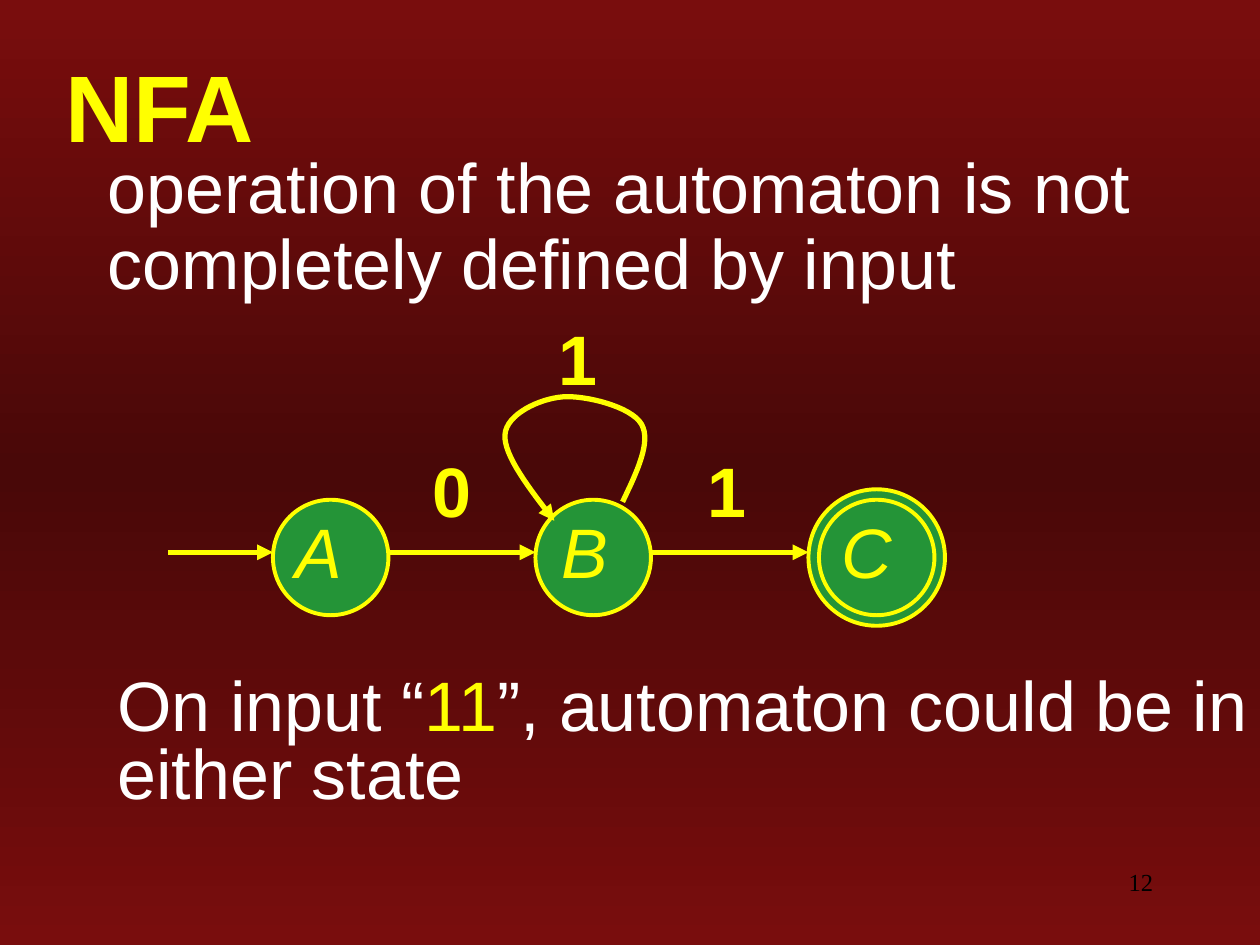
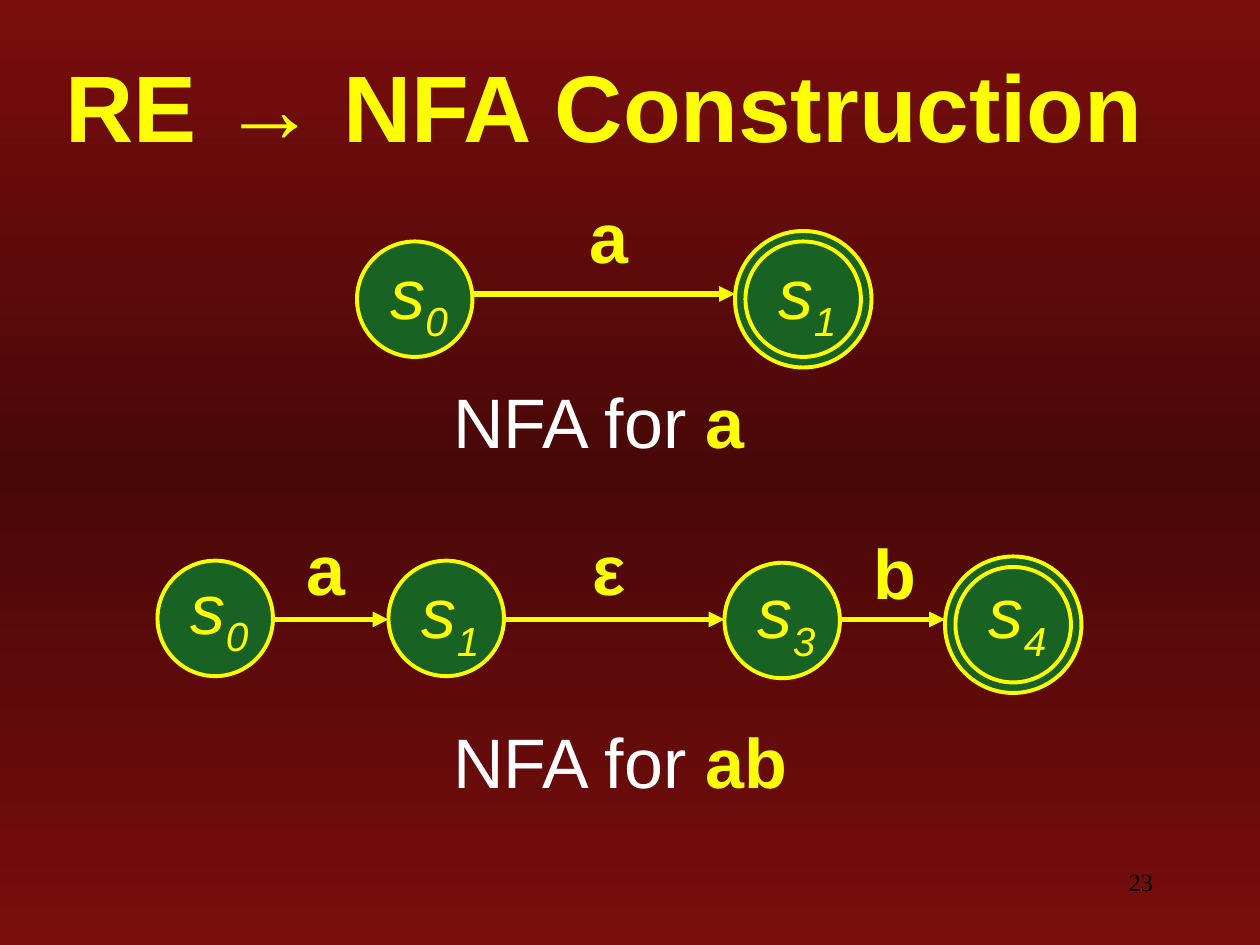
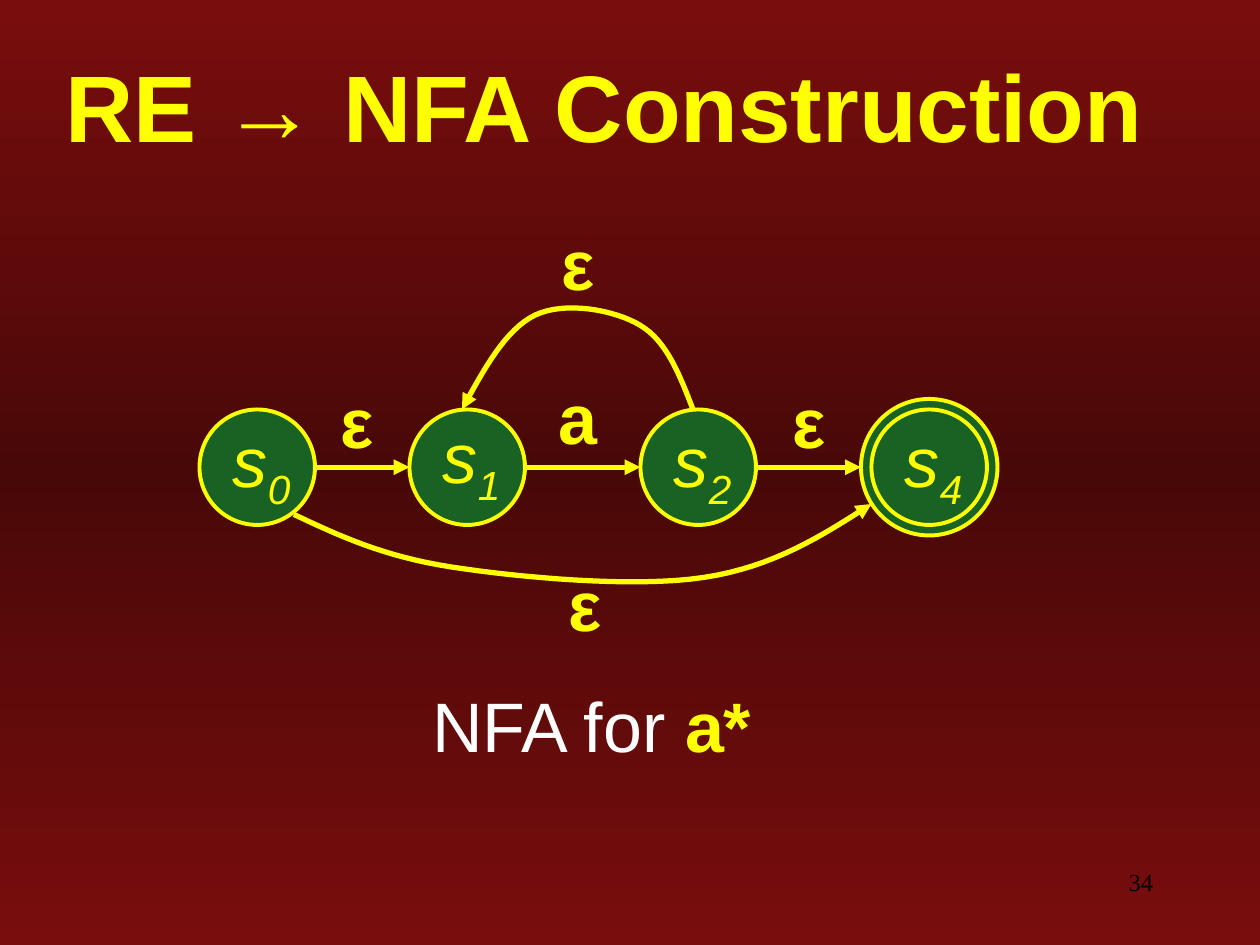
import copy
from dataclasses import dataclass
from typing import NamedTuple

import lxml.etree
import pptx
import pptx.dml.color
import pptx.enum.dml
import pptx.enum.shapes
import pptx.enum.text
import pptx.oxml.ns
import pptx.util

WIDTH, HEIGHT = pptx.util.Inches(10), pptx.util.Inches(7.5)
COLUMNS, ROWS = 120, 90
STATE_SIZE, RING_GAP = 11, 1
TITLE_ONLY = 5
ALIGN = pptx.enum.text.PP_ALIGN
qn = pptx.oxml.ns.qn


@dataclass(frozen=True)
class Theme:
    edge: str = "790D0D"
    middle: str = "490808"
    accent: str = "FFFF00"
    body: str = "FFFFFF"
    number: str = "000000"
    bright_state: str = "249437"
    dark_state: str = "186224"
    font: str = "Arial"
    number_font: str = "Times New Roman"
    title_size: int = 54
    text_size: int = 40
    number_size: int = 14
    outline: float = 2.25
    arrow: float = 3


THEME = Theme()


class Run(NamedTuple):
    text: str
    color: str = THEME.accent
    bold: bool = False
    italic: bool = False
    subscript: bool = False


class Box(NamedTuple):
    """A place on the grid, in columns and rows."""
    col: float
    row: float
    cols: float = 8.75
    rows: float = 7.7


class Point(NamedTuple):
    col: float
    row: float


class State(NamedTuple):
    """A circle at a grid place; label_shift moves its name from the corner."""
    name: str
    col: float
    row: float
    label_shift: tuple[float, float] = (2, 1)
    index: str = ""
    final: bool = False


class Symbol(NamedTuple):
    text: str
    col: float
    row: float


@dataclass(frozen=True)
class Automaton:
    states: list[State]
    symbols: list[Symbol]
    arrow_row: float
    fill: str = THEME.dark_state
    start_col: float | None = None
    curves: tuple[list[Point], ...] = ()


def x(cols: float) -> int:
    return round(WIDTH * cols / COLUMNS)


def y(rows: float) -> int:
    return round(HEIGHT * rows / ROWS)


def place(box: Box) -> tuple[int, int, int, int]:
    return x(box.col), y(box.row), x(box.cols), y(box.rows)


def rgb(color: str):
    return pptx.dml.color.RGBColor.from_string(color)


def write(frame, runs: list[Run], *, size: float = THEME.text_size, font: str = THEME.font,
          align=ALIGN.LEFT, spacing: float = 0.8) -> None:
    frame.word_wrap = True
    paragraph = frame.paragraphs[0]
    paragraph.alignment = align
    paragraph.line_spacing = spacing
    for part in runs:
        run = paragraph.add_run()
        run.text = part.text
        run.font.size = pptx.util.Pt(size)
        run.font.name = font
        run.font.bold = part.bold
        run.font.italic = part.italic
        run.font.color.rgb = rgb(part.color)
        if part.subscript:
            run._r.get_or_add_rPr().set("baseline", "-25000")


def add_text(slide, box: Box, runs: list[Run], **text_format) -> None:
    frame = slide.shapes.add_textbox(*place(box)).text_frame
    write(frame, runs, **text_format)


def add_title_shadow(run) -> None:
    fill = run._r.get_or_add_rPr().find(qn("a:solidFill"))
    effects = lxml.etree.Element(qn("a:effectLst"))
    shadow = lxml.etree.SubElement(effects, qn("a:outerShdw"), dist="35921", dir="2700000")
    lxml.etree.SubElement(shadow, qn("a:srgbClr"), val="000000")
    fill.addnext(effects)


def add_circle(slide, col: float, row: float, size: float, fill: str) -> None:
    circle = slide.shapes.add_shape(pptx.enum.shapes.MSO_SHAPE.OVAL,
                                    *place(Box(col, row, size, size)))
    circle.shadow.inherit = False
    circle.fill.solid()
    circle.fill.fore_color.rgb = rgb(fill)
    circle.line.color.rgb = rgb(THEME.accent)
    circle.line.width = pptx.util.Pt(THEME.outline)


def add_state(slide, state: State, fill: str) -> None:
    if state.final:
        add_circle(slide, state.col - RING_GAP, state.row - RING_GAP,
                   STATE_SIZE + 2 * RING_GAP, fill)
    add_circle(slide, state.col, state.row, STATE_SIZE, fill)
    runs = [Run(state.name, italic=True)]
    if state.index:
        runs.append(Run(state.index, italic=True, subscript=True))
    shift_col, shift_row = state.label_shift
    add_text(slide, Box(state.col + shift_col, state.row + shift_row, 12 if state.index else 8.75),
             runs)


def style_arrow(arrow) -> None:
    arrow.line.color.rgb = rgb(THEME.accent)
    arrow.line.width = pptx.util.Pt(THEME.arrow)
    line = arrow.element.spPr.find(qn("a:ln"))
    lxml.etree.SubElement(line, qn("a:tailEnd"), type="triangle")
    lxml.etree.SubElement(arrow.element.spPr, qn("a:effectLst"))


def add_arrow(slide, start_col: float, end_col: float, row: float) -> None:
    style_arrow(slide.shapes.add_connector(
        pptx.enum.shapes.MSO_CONNECTOR.STRAIGHT, x(start_col), y(row), x(end_col), y(row)))


def mix(a: Point, b: Point, share: float) -> Point:
    return Point(a.col + (b.col - a.col) * share, a.row + (b.row - a.row) * share)


def spline(knots: list[Point], steps: int = 16) -> list[Point]:
    """Points of a smooth curve through the knots, with relaxed ends."""
    def handle(i: int, side: int) -> Point:
        before, knot, after = knots[i - 1:i + 2]
        return Point(knot.col + side * (after.col - before.col) / 6,
                     knot.row + side * (after.row - before.row) / 6)

    points = [knots[0]]
    last = len(knots) - 1
    for i in range(last):
        leave = handle(i, 1) if i > 0 else None
        arrive = handle(i + 1, -1) if i + 1 < last else mix(knots[last], leave, 0.5)
        leave = leave or mix(knots[0], arrive, 0.5)
        for step in range(1, steps + 1):
            level = [knots[i], leave, arrive, knots[i + 1]]
            while len(level) > 1:
                level = [mix(a, b, step / steps) for a, b in zip(level, level[1:])]
            points.append(level[0])
    return points


def add_curve(slide, knots: list[Point]) -> None:
    start, *rest = [(x(point.col), y(point.row)) for point in spline(knots)]
    builder = slide.shapes.build_freeform(*start)
    builder.add_line_segments(rest, close=False)
    curve = builder.convert_to_shape()
    curve.fill.background()
    style_arrow(curve)


def add_automaton(slide, automaton: Automaton) -> None:
    states = automaton.states
    for state in states:
        add_state(slide, state, automaton.fill)
    if automaton.start_col is not None:
        add_arrow(slide, automaton.start_col, states[0].col, automaton.arrow_row)
    for state, target in zip(states, states[1:]):
        end_col = target.col - (RING_GAP if target.final else 0)
        add_arrow(slide, state.col + STATE_SIZE, end_col, automaton.arrow_row)
    for knots in automaton.curves:
        add_curve(slide, knots)
    for symbol in automaton.symbols:
        add_text(slide, Box(symbol.col, symbol.row), [Run(symbol.text, bold=True)])


def add_caption(slide, box: Box, expression: str) -> None:
    add_text(slide, box, [Run("NFA for ", THEME.body), Run(expression, bold=True)])


def set_background(master) -> None:
    fill = master.background.fill
    fill.gradient()
    fill.gradient_angle = 270
    stops = master.element.find(".//" + qn("a:gsLst"))
    stops.insert(1, copy.deepcopy(stops[0]))
    colors = (THEME.edge, THEME.middle, THEME.edge)
    for stop, color, position in zip(fill.gradient_stops, colors, (0, 0.5, 1)):
        stop.color.rgb = rgb(color)
        stop.position = position


def add_slide(deck, title: str, number: int):
    slide = deck.slides.add_slide(deck.slide_layouts[TITLE_ONLY])
    heading = slide.shapes.title
    heading.left, heading.top, heading.width, heading.height = place(Box(5, 5, 116, 10))
    frame = heading.text_frame
    frame.auto_size = pptx.enum.text.MSO_AUTO_SIZE.NONE
    frame.vertical_anchor = pptx.enum.text.MSO_ANCHOR.MIDDLE
    write(frame, [Run(title, bold=True)], size=THEME.title_size, spacing=1)
    add_title_shadow(frame.paragraphs[0].runs[0])
    add_text(slide, Box(86, 82, 25, 6), [Run(str(number), THEME.number)],
             size=THEME.number_size, font=THEME.number_font, align=ALIGN.RIGHT, spacing=1)
    return slide


def add_nfa_slide(deck) -> None:
    slide = add_slide(deck, "NFA", 12)
    add_text(slide, Box(9.1, 14, 110.9, 23),
             [Run("operation of the automaton is not completely defined by input", THEME.body)],
             spacing=0.9)
    add_automaton(slide, Automaton(
        states=[State("A", 26, 47.6, (1, 1.8)),
                State("B", 51, 47.6, (1.3, 1.8)),
                State("C", 78, 47.6, (1, 1.8), final=True)],
        symbols=[Symbol("0", 40, 43.6), Symbol("1", 66.2, 43.6), Symbol("1", 52, 31)],
        arrow_row=52.6,
        fill=THEME.bright_state,
        start_col=16,
        curves=([Point(59.3, 47.8), Point(61.1, 40.4), Point(53.6, 37.8),
                 Point(48.1, 41.4), Point(52.8, 49.6)],)))
    add_text(slide, Box(10, 64, 110, 14),
             [Run("On input “", THEME.body), Run("11"),
              Run("”, automaton could be in either state", THEME.body)])


def add_concatenation_slide(deck) -> None:
    slide = add_slide(deck, "RE → NFA Construction", 23)
    add_automaton(slide, Automaton(
        states=[State("s", 34, 23, index="0"), State("s", 71, 23, index="1", final=True)],
        symbols=[Symbol("a", 55, 19.4)],
        arrow_row=28))
    add_caption(slide, Box(42, 37, 39), "a")
    add_automaton(slide, Automaton(
        states=[State("s", 15, 53.4, (2, 0.6), "0"),
                State("s", 37, 53.4, index="1"),
                State("s", 69, 53.6, (2, 0.8), "3"),
                State("s", 91, 54, (2, 0.4), "4", final=True)],
        symbols=[Symbol("a", 28, 51), Symbol("ε", 55.3, 51), Symbol("b", 82, 51.4)],
        arrow_row=59))
    add_caption(slide, Box(42, 69.4, 39), "ab")


def add_closure_slide(deck) -> None:
    slide = add_slide(deck, "RE → NFA Construction", 34)
    add_automaton(slide, Automaton(
        states=[State("s", 19, 39, index="0"),
                State("s", 39, 39, (2, 0.6), "1"),
                State("s", 61, 39, index="2"),
                State("s", 83, 39, index="4", final=True)],
        symbols=[Symbol("ε", 31.3, 37), Symbol("a", 52, 36.6), Symbol("ε", 74.3, 37),
                 Symbol("ε", 52.3, 22), Symbol("ε", 53, 54.4)],
        arrow_row=44.5,
        curves=([Point(66, 39), Point(61, 31), Point(51, 30), Point(44, 39)],
                [Point(28, 49), Point(43, 54), Point(67, 55), Point(83, 48)])))
    add_caption(slide, Box(40, 66, 44), "a*")


def main() -> None:
    deck = pptx.Presentation()
    deck.slide_width, deck.slide_height = WIDTH, HEIGHT
    set_background(deck.slide_master)
    add_nfa_slide(deck)
    add_concatenation_slide(deck)
    add_closure_slide(deck)
    deck.save("out.pptx")


if __name__ == "__main__":
    main()
